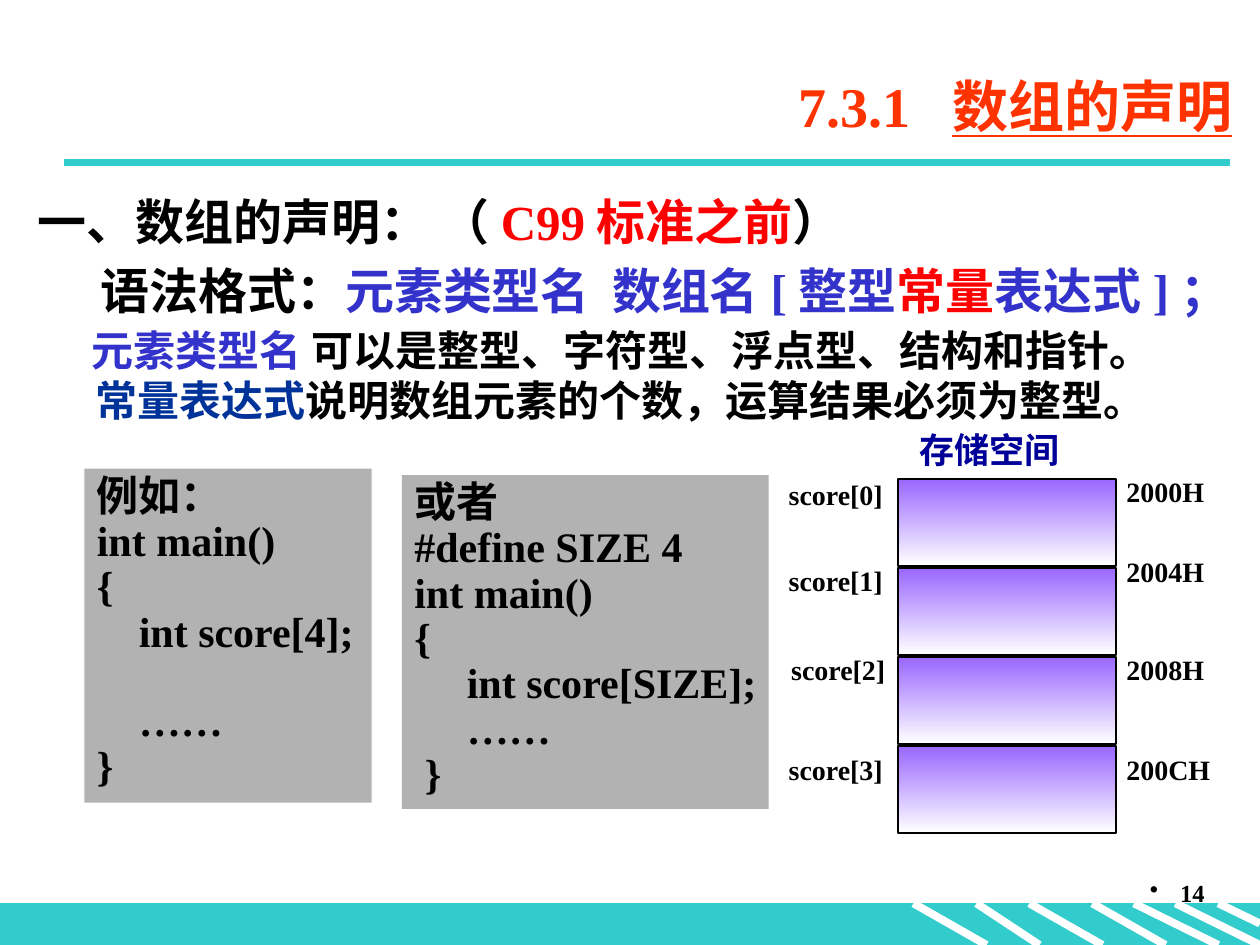
from lxml import etree
from pptx import Presentation
from pptx.dml.color import RGBColor
from pptx.enum.shapes import MSO_CONNECTOR, MSO_SHAPE
from pptx.enum.text import MSO_ANCHOR, PP_ALIGN
from pptx.oxml.ns import qn
from pptx.util import Inches, Pt

RECT = MSO_SHAPE.RECTANGLE
STRAIGHT = MSO_CONNECTOR.STRAIGHT
LEFT, RIGHT = PP_ALIGN.LEFT, PP_ALIGN.RIGHT
TOP, MIDDLE = MSO_ANCHOR.TOP, MSO_ANCHOR.MIDDLE

FONT = "Times New Roman"
BLACK = RGBColor(0, 0, 0)
WHITE = RGBColor(255, 255, 255)
TEAL = RGBColor(0x33, 0xCC, 0xCC)
ORANGE = RGBColor(0xFF, 0x33, 0x00)
RED = RGBColor(0xFF, 0, 0)
BLUE = RGBColor(0x33, 0x33, 0xCC)
DEEP_BLUE = RGBColor(0, 0x33, 0x99)
NAVY = RGBColor(0, 0, 0x99)
PURPLE = RGBColor(0x99, 0x66, 0xFF)
GRAY = RGBColor(0xB2, 0xB2, 0xB2)


def style(font, size, color):
    font.name = FONT
    font.size = Pt(size)
    font.bold = True
    font.color.rgb = color


def add_runs(paragraph, size, parts):
    for text, color in parts:
        run = paragraph.add_run()
        run.text = text
        style(run.font, size, color)


def set_indent(paragraph, margin, first_line=0):
    properties = paragraph._p.get_or_add_pPr()
    properties.set("marL", str(Inches(margin)))
    properties.set("indent", str(Inches(first_line)))
    return properties


def add_text_frame(slide, left, top, width, height, inset=True, wrap=True):
    box = slide.shapes.add_textbox(Inches(left), Inches(top), Inches(width), Inches(height))
    frame = box.text_frame
    frame.word_wrap = wrap
    if not inset:
        frame.margin_left = frame.margin_right = 0
        frame.margin_top = frame.margin_bottom = 0
    return frame


def add_label(slide, text, left, top, width, height=0.27, size=16, color=BLACK, inset=False):
    frame = add_text_frame(slide, left, top, width, height, inset, wrap=inset)
    frame.text = text
    paragraph = frame.paragraphs[0]
    paragraph.line_spacing = 0.9
    style(paragraph.runs[0].font, size, color)


def add_box(slide, left, top, width, height):
    box = slide.shapes.add_shape(RECT, Inches(left), Inches(top), Inches(width), Inches(height))
    box.shadow.inherit = False
    return box


def add_line(slide, x1, y1, x2, y2, color):
    line = slide.shapes.add_connector(STRAIGHT, Inches(x1), Inches(y1), Inches(x2), Inches(y2))
    line.line.color.rgb = color
    line.line.width = Pt(4.5)
    etree.SubElement(line._element.spPr, qn("a:effectLst"))


def add_code(slide, left, top, width, lines, gap_before=None):
    box = add_box(slide, left, top, width, 2.65)
    box.fill.solid()
    box.fill.fore_color.rgb = GRAY
    box.line.fill.background()
    frame = box.text_frame
    frame.word_wrap = True
    frame.margin_right = 0
    frame.vertical_anchor = TOP
    frame.text = "\n".join(lines)
    for index, paragraph in enumerate(frame.paragraphs):
        paragraph.alignment = LEFT
        paragraph.line_spacing = 0.9
        if index == gap_before:
            paragraph.space_before = Pt(25)
        style(paragraph.runs[0].font, 24, BLACK)


def add_footer(slide):
    band = add_box(slide, 0, 7.17, 10, 0.33)
    band.fill.solid()
    band.fill.fore_color.rgb = TEAL
    band.line.color.rgb = TEAL
    band.line.width = Pt(0.75)
    stripes = [(7.25, 7.83), (7.75, 8.25), (8.17, 8.75), (8.67, 9.25), (9, 9.67), (9.33, 10)]
    for start, end in stripes:
        add_line(slide, start, 7.17, end, 7.5, WHITE)
    add_line(slide, 9.67, 7.17, 10, 7.33, WHITE)

    # Bulleted page number
    number = add_text_frame(slide, 7.58, 6.92, 2.08, 0.5).paragraphs[0]
    properties = set_indent(number, 0.24, -0.24)
    etree.SubElement(properties, qn("a:buChar")).set("char", "•")
    number.alignment = RIGHT
    add_runs(number, 14, [("14", BLACK)])


def add_heading(slide):
    frame = add_text_frame(slide, 1.38, 0.44, 8.5, 0.79)
    frame.vertical_anchor = MIDDLE
    title = frame.paragraphs[0]
    title.alignment = RIGHT
    add_runs(title, 32, [("7.3.1  ", ORANGE), ("数组的声明", ORANGE)])
    title.runs[1].font.underline = True
    add_line(slide, 0.51, 1.29, 9.76, 1.29, TEAL)


def add_explanation(slide):
    # Left margin, size, space before, coloured parts
    statements = [
        (0, 28, 0, [("一、数组的声明： （", BLACK), ("C99标准之前", RED), ("）", BLACK)]),
        (0.5, 28, 5.6, [("语法格式：", BLACK), ("元素类型名  数组名[整型", BLUE),
                        ("常量", RED), ("表达式]；", BLUE)]),
        (0.43, 24, 3, [("元素类型名", BLUE),
                       (" 可以是整型、字符型、浮点型、结构和指针。", BLACK)]),
        (0.46, 24, 0, [("常量表达式", DEEP_BLUE),
                       ("说明数组元素的个数，运算结果必须为整型。", BLACK)]),
    ]
    frame = add_text_frame(slide, 0.2, 1.47, 9.8, 1.89)
    for index, (margin, size, before, parts) in enumerate(statements):
        paragraph = frame.add_paragraph() if index else frame.paragraphs[0]
        set_indent(paragraph, margin)
        if before:
            paragraph.space_before = Pt(before)
        add_runs(paragraph, size, parts)


def add_memory(slide):
    add_label(slide, "存储空间", 7.2, 3.39, 2.36, 0.43, 20, NAVY, inset=True)
    # Address, its top, element label left and top
    cells = [("2000H", 3.8, 6.26, 3.82), ("2004H", 4.43, 6.26, 4.5),
             ("2008H", 5.21, 6.28, 5.21), ("200CH", 6, 6.26, 6)]
    for index, (address, address_top, element_left, element_top) in enumerate(cells):
        cell = add_box(slide, 7.13, 3.8 + index * 2.12 / 3, 1.73, 0.69)
        cell.fill.gradient()
        cell.fill.gradient_angle = 270
        for stop, position, color in zip(cell.fill.gradient_stops, (0, 1), (PURPLE, WHITE)):
            stop.position = position
            stop.color.rgb = color
        cell.line.color.rgb = BLACK
        cell.line.width = Pt(1.25)
        add_label(slide, f"score[{index}]", element_left, element_top, 0.76)
        add_label(slide, address, 8.94, address_top, 0.67)


def main():
    presentation = Presentation()
    presentation.slide_width = Inches(10)
    presentation.slide_height = Inches(7.5)
    slide = presentation.slides.add_slide(presentation.slide_layouts[6])

    add_footer(slide)
    add_heading(slide)
    add_explanation(slide)
    add_memory(slide)

    # Two equivalent declarations
    add_code(slide, 0.67, 3.72, 2.28, [
        "例如：", "int main()", "{", "    int score[4];", "    ……", "}"], gap_before=4)
    add_code(slide, 3.19, 3.77, 2.91, [
        "或者", "#define SIZE 4", "int main()", "{", "     int score[SIZE];", "     ……", " }"])

    presentation.save("out.pptx")


if __name__ == "__main__":
    main()
